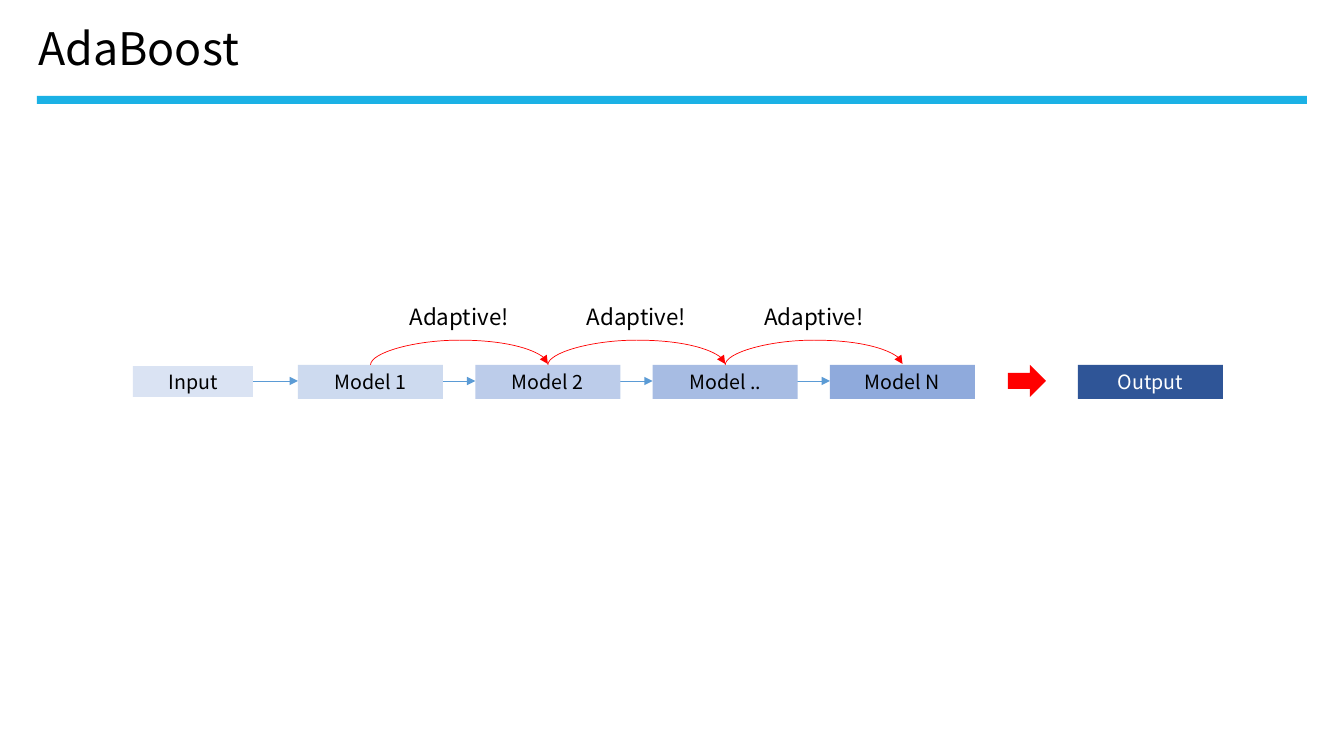
from lxml import etree
from pptx import Presentation
from pptx.dml.color import RGBColor
from pptx.enum.shapes import MSO_CONNECTOR, MSO_SHAPE
from pptx.enum.text import MSO_ANCHOR, PP_ALIGN
from pptx.oxml.ns import qn
from pptx.util import Pt

RECT, RIGHT_ARROW = MSO_SHAPE.RECTANGLE, MSO_SHAPE.RIGHT_ARROW
STRAIGHT, CURVE = MSO_CONNECTOR.STRAIGHT, MSO_CONNECTOR.CURVE
LEFT, CENTER = PP_ALIGN.LEFT, PP_ALIGN.CENTER
MIDDLE = MSO_ANCHOR.MIDDLE

TITLE = "AdaBoost"
MODELS = [("Model 1", "model_1"), ("Model 2", "model_2"),
          ("Model ..", "model_more"), ("Model N", "model_n")]
FEEDBACK = "Adaptive!"
COLORS = {
    "text": "000000", "white": "FFFFFF", "rule": "1BB1E5",
    "input": "DAE3F3", "model_1": "CDDAEF", "model_2": "BCCCEA",
    "model_more": "A7BCE3", "model_n": "8FAADC", "output": "2F5597",
    "flow": "5B9BD5", "feedback": "FF0000",
}
FONT = "Noto Sans CJK KR"

# Lengths in px, 100.8 to the inch
EMU_PER_PX = 914400 / 100.8
SLIDE_W, SLIDE_H = 1344, 756
BOX_TOP, BOX_W, BOX_H = 365, 145, 34
FIRST_MODEL, LAST_MODEL = 298, 830
PITCH = (LAST_MODEL - FIRST_MODEL) / (len(MODELS) - 1)
FLOW_Y, FLOW_LENGTH = 381, 55
ARC_RISE, ARC_DROP = 25, 1
LABEL_TOP, LABEL_W, LABEL_H = 298, 137, 37


def emu(*lengths):
    return [round(length * EMU_PER_PX) for length in lengths]


def color(name):
    return RGBColor.from_string(COLORS[name])


def write(shape, text, size=14, ink="text", align=CENTER):
    frame = shape.text_frame
    frame.word_wrap = True
    frame.vertical_anchor = MIDDLE
    frame.margin_top = frame.margin_bottom = 0
    paragraph = frame.paragraphs[0]
    paragraph.alignment = align
    run = paragraph.add_run()
    run.text = text
    run.font.name = FONT
    run.font.size = Pt(size)
    run.font.color.rgb = color(ink)


def add_block(slide, box, fill, kind=RECT):
    block = slide.shapes.add_shape(kind, *emu(*box))
    block.shadow.inherit = False
    block.fill.solid()
    block.fill.fore_color.rgb = color(fill)
    block.line.fill.background()
    return block


def add_arrow(slide, kind, ends, ink):
    arrow = slide.shapes.add_connector(kind, *emu(*ends))
    arrow.line.color.rgb = color(ink)
    arrow.line.width = Pt(0.5)
    etree.SubElement(arrow.line._get_or_add_ln(), qn("a:tailEnd"), type="triangle")
    etree.SubElement(arrow._element.spPr, qn("a:effectLst"))
    return arrow


def add_arc(slide, start_x):
    """Curve from one model's top to the next: a curved connector turned by 90°."""
    center_x = start_x + PITCH / 2
    center_y = BOX_TOP - ARC_DROP / 2
    ends = (center_x + ARC_DROP / 2, center_y + PITCH / 2,
            center_x - ARC_DROP / 2, center_y - PITCH / 2)
    properties = add_arrow(slide, CURVE, ends, "feedback")._element.spPr
    properties.find(qn("a:xfrm")).set("rot", str(90 * 60000))
    guides = properties.find(qn("a:prstGeom")).find(qn("a:avLst"))
    bend = ARC_RISE * 100000 // ARC_DROP
    etree.SubElement(guides, qn("a:gd"), name="adj1", fmla=f"val {bend}")


def main():
    deck = Presentation()
    deck.slide_width, deck.slide_height = emu(SLIDE_W, SLIDE_H)
    slide = deck.slides.add_slide(deck.slide_layouts[5])

    title = slide.shapes.title
    title.left, title.top, title.width, title.height = emu(28, 16, 644, 64)
    write(title, TITLE, size=32, align=LEFT)
    add_block(slide, (37, 96, 1270, 8), "rule")

    model_lefts = [FIRST_MODEL + i * PITCH for i in range(len(MODELS))]
    for left in model_lefts:
        add_arrow(slide, STRAIGHT, (left - FLOW_LENGTH, FLOW_Y, left, FLOW_Y), "flow")

    write(add_block(slide, (133, 366, 120, 31), "input"), "Input")
    for left, (name, fill) in zip(model_lefts, MODELS):
        write(add_block(slide, (left, BOX_TOP, BOX_W, BOX_H), fill), name)
    write(add_block(slide, (1078, BOX_TOP, BOX_W, BOX_H), "output"),
          "Output", ink="white")
    add_block(slide, (1008, BOX_TOP, 38, 32), "feedback", RIGHT_ARROW)

    for left in model_lefts[:-1]:
        arc_start = left + BOX_W / 2
        add_arc(slide, arc_start)
        label_left = arc_start + (PITCH - LABEL_W) / 2
        label = slide.shapes.add_textbox(*emu(label_left, LABEL_TOP, LABEL_W, LABEL_H))
        write(label, FEEDBACK, size=16)

    deck.save("out.pptx")


if __name__ == "__main__":
    main()
